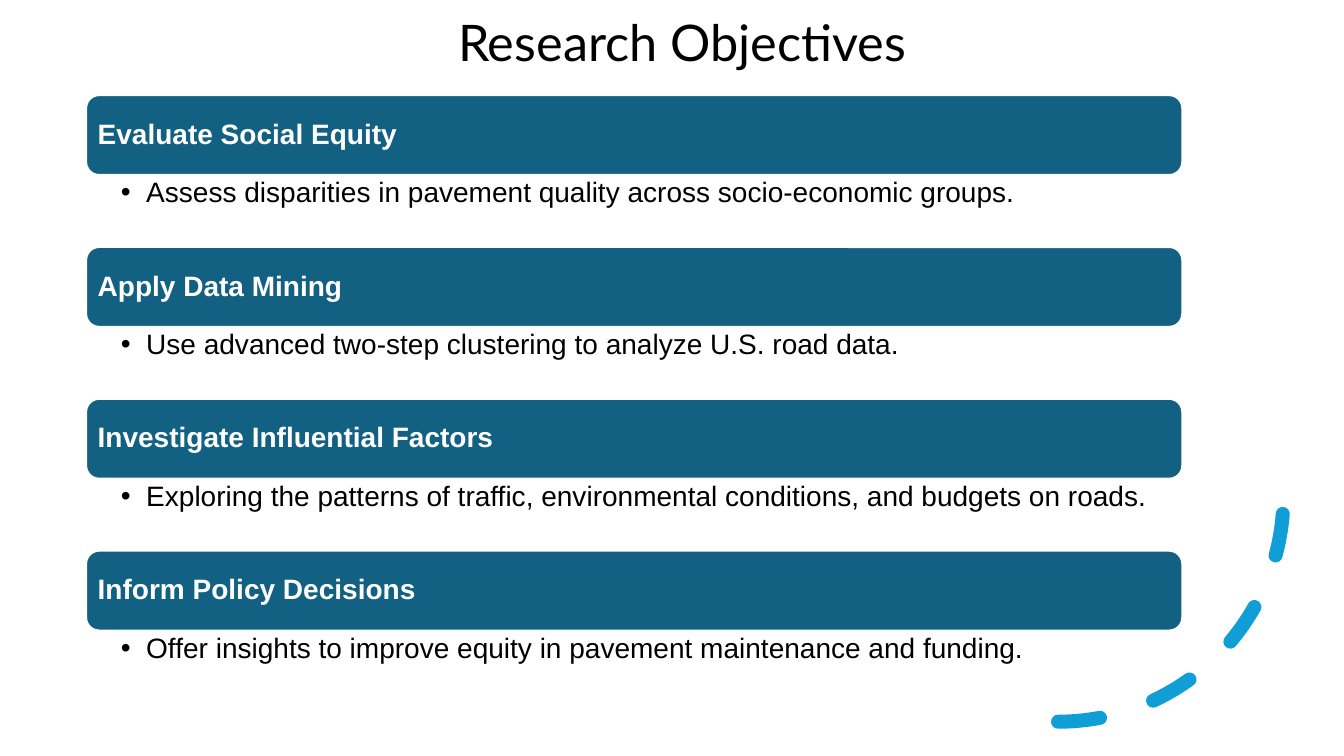
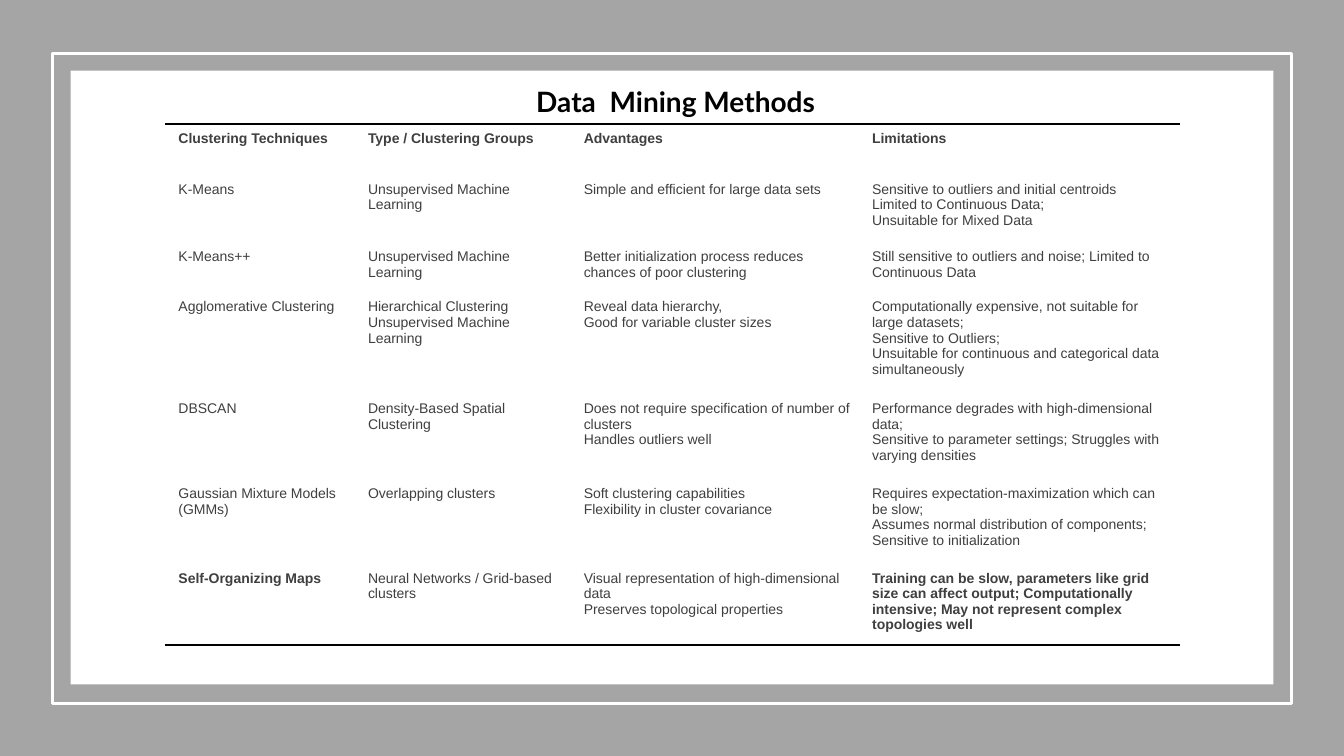
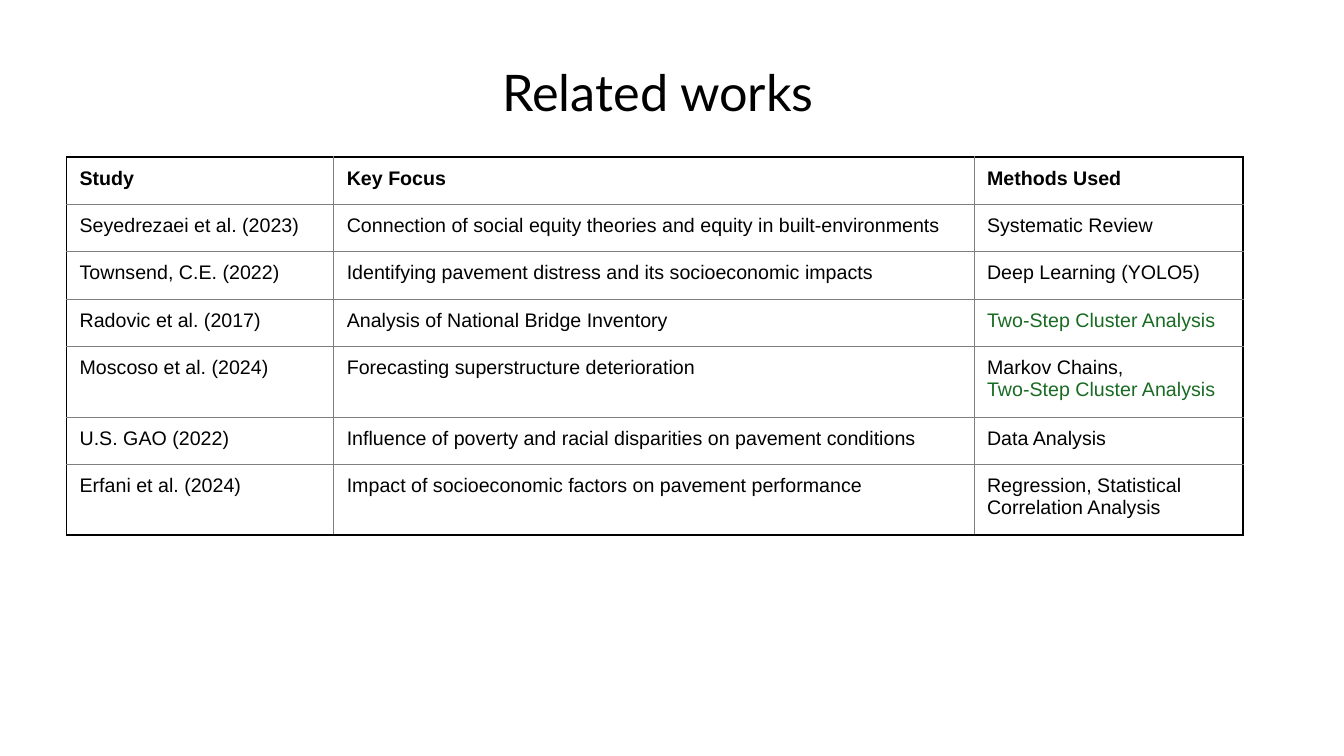
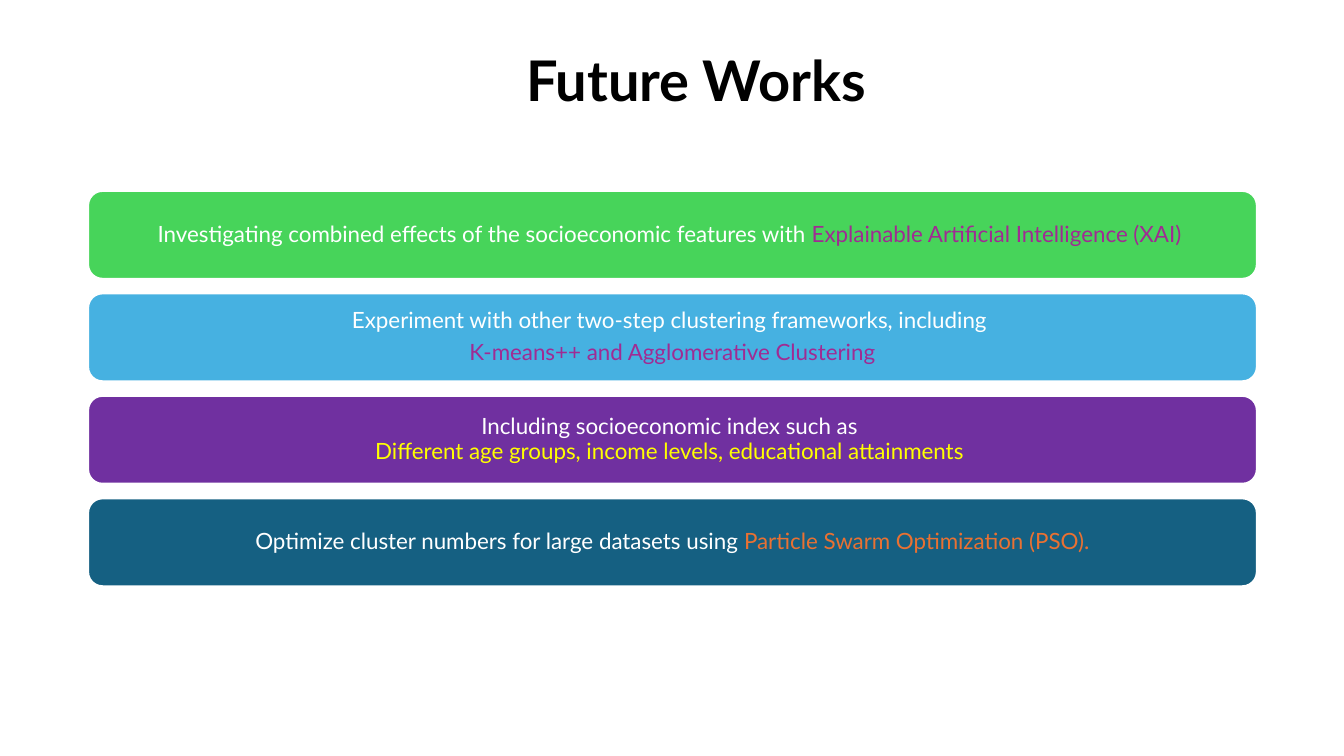
from lxml import etree
from pptx import Presentation
from pptx import util as u
from pptx.dml.color import RGBColor
from pptx.enum import dml, shapes, text
from pptx.oxml.ns import qn

C = {
    "black": "000000", "white": "FFFFFF", "grey": "A5A5A5",
    "cell": "3F3F3F", "rule": "7F7F7F", "teal": "126082",
    "deep": "156082", "sky": "0F9ED5", "blue": "46B1E1",
    "lime": "47D45A", "green": "196B24", "purple": "7030A0",
    "plum": "A02B93", "yellow": "FFFF00", "orange": "E97132",
}
TITLE, BODY = "Lato", "Arial"
LEFT, CENTER = text.PP_ALIGN.LEFT, text.PP_ALIGN.CENTER
TOP, MIDDLE, BOTTOM = (text.MSO_ANCHOR.TOP, text.MSO_ANCHOR.MIDDLE,
                       text.MSO_ANCHOR.BOTTOM)
ROUND = shapes.MSO_SHAPE.ROUNDED_RECTANGLE


def rgb(name):
    return RGBColor.from_string(C[name])


def inches(values):
    return [u.Inches(v) for v in values]


def spread(first, last, count):
    """Equally spaced positions from first to last."""
    return [first + i * (last - first) / (count - 1) for i in range(count)]


class Deck:
    def __init__(self):
        self.prs = Presentation()
        self.prs.slide_width, self.prs.slide_height = inches((13.33, 7.5))

    def new_slide(self):
        self.s = self.prs.slides.add_slide(self.prs.slide_layouts[6])

    # Text
    def frame(self, tf, insets, anchor=TOP):
        tf.word_wrap = True
        tf.vertical_anchor = anchor
        (tf.margin_left, tf.margin_top,
         tf.margin_right, tf.margin_bottom) = inches(insets)

    def style(self, r, size, font, colour, bold=False):
        r.font.size, r.font.name, r.font.bold = u.Pt(size), font, bold
        r.font.color.rgb = rgb(colour)

    def add_text(self, tf, paragraphs, size, font, colour, bold=False,
                 align=LEFT, spacing=0.9, after=0):
        """A paragraph is a list of (text, colour) runs; "\\n" breaks a line."""
        for i, runs in enumerate(paragraphs):
            p = tf.add_paragraph() if i else tf.paragraphs[0]
            p.alignment, p.line_spacing = align, spacing
            p.space_after = u.Pt(after)
            for words, tint in runs:
                r = p.add_run()
                r.text = words.rstrip("\n")
                self.style(r, size, font, tint or colour, bold)
                if words.endswith("\n"):
                    p.add_line_break()
                    etree.SubElement(p._p[-1], qn("a:rPr"), sz=str(size * 100))

    def title(self, at, words, size=36, bold=False, anchor=MIDDLE,
              spacing=0.9, after=0):
        tf = self.s.shapes.add_textbox(*inches(at)).text_frame
        self.frame(tf, (0.1, 0.05, 0.1, 0.05), anchor)
        self.add_text(tf, [[(words, None)]], size, TITLE, "black", bold,
                      CENTER, spacing, after)

    def bullet(self, at, words):
        tf = self.s.shapes.add_textbox(*inches(at)).text_frame
        self.frame(tf, (0.35, 0.03, 0.16, 0.03))
        self.add_text(tf, [[(words, None)]], 20, BODY, "black")
        pPr = tf.paragraphs[0]._p.get_or_add_pPr()
        pPr.set("marL", str(u.Inches(0.25)))
        pPr.set("indent", str(u.Inches(-0.25)))
        etree.SubElement(pPr, qn("a:buFont"), typeface=BODY)
        etree.SubElement(pPr, qn("a:buChar"), char="•")

    # Shapes
    def shape(self, kind, at, fill=None, line=None, width=2):
        sp = self.s.shapes.add_shape(kind, *inches(at))
        sp.shadow.inherit = False
        if fill:
            sp.fill.solid()
            sp.fill.fore_color.rgb = rgb(fill)
        else:
            sp.fill.background()
        if line:
            sp.line.color.rgb = rgb(line)
            sp.line.width = u.Pt(width)
        else:
            sp.line.fill.background()
        return sp

    def bar(self, at, fill, paragraphs, inset, **style):
        sp = self.shape(ROUND, at, fill, "white")
        self.frame(sp.text_frame, [inset] * 4, MIDDLE)
        self.add_text(sp.text_frame, paragraphs, colour="white", **style)

    def dashed_arc(self, at):
        sp = self.shape(shapes.MSO_SHAPE.ARC, at, line="sky", width=10)
        sp.rotation = 180
        sp._element.spPr.find(qn("a:xfrm")).set("flipH", "1")
        sp.line.dash_style = dml.MSO_LINE.DASH
        sp.line._ln.set("cap", "rnd")

    # Tables
    def border(self, cell, side, colour=None, width=0):
        ln = etree.SubElement(cell._tc.get_or_add_tcPr(), qn("a:ln" + side),
                              w=str(u.Pt(width)))
        if colour:
            solid = etree.SubElement(ln, qn("a:solidFill"))
            etree.SubElement(solid, qn("a:srgbClr"), val=C[colour])
        else:
            etree.SubElement(ln, qn("a:noFill"))

    def table(self, at, cols, heights, rows, insets, size, colour,
              edges, inner=(), bold=(), tints=None):
        """edges gives the outer border of each side, inner the other lines."""
        box = (*at, sum(cols), sum(heights))
        tb = self.s.shapes.add_table(len(rows), len(cols), *inches(box)).table
        tb.first_row = tb.horz_banding = False
        for col, w in zip(tb.columns, cols):
            col.width = u.Inches(w)
        for row, h in zip(tb.rows, heights):
            row.height = u.Inches(h)
        for i, row in enumerate(rows):
            for j, words in enumerate(row):
                cell = tb.cell(i, j)
                outer = {"L": j == 0, "R": j == len(cols) - 1,
                         "T": i == 0, "B": i == len(rows) - 1}
                for side, on_edge in outer.items():
                    look = edges.get(side, ()) if on_edge else inner
                    self.border(cell, side, *look)
                cell.fill.solid()
                cell.fill.fore_color.rgb = rgb("white")
                (cell.margin_left, cell.margin_top,
                 cell.margin_right, cell.margin_bottom) = inches(insets)
                cell.text_frame.text = words
                for p in cell.text_frame.paragraphs:
                    tint = (tints or {}).get(p.text, colour)
                    for r in p.runs:
                        self.style(r, size, BODY, tint, i == 0 or (i, j) in bold)


OBJECTIVES = [
    ("Evaluate Social Equity",
     "Assess disparities in pavement quality across socio-economic groups."),
    ("Apply Data Mining",
     "Use advanced two-step clustering to analyze U.S. road data."),
    ("Investigate Influential Factors",
     "Exploring the patterns of traffic, environmental conditions, and budgets on roads."),
    ("Inform Policy Decisions",
     "Offer insights to improve equity in pavement maintenance and funding."),
]

METHODS = [
    ("Clustering Techniques", "Type / Clustering Groups", "Advantages", "Limitations"),
    ("K-Means", "Unsupervised Machine Learning",
     "Simple and efficient for large data sets",
     "Sensitive to outliers and initial centroids\nLimited to Continuous Data;\n"
     "Unsuitable for Mixed Data"),
    ("K-Means++", "Unsupervised Machine Learning",
     "Better initialization process reduces chances of poor clustering",
     "Still sensitive to outliers and noise; Limited to Continuous Data"),
    ("Agglomerative Clustering",
     "Hierarchical Clustering\nUnsupervised Machine Learning",
     "Reveal data hierarchy,\nGood for variable cluster sizes",
     "Computationally expensive, not suitable for large datasets;\n"
     "Sensitive to Outliers;\n"
     "Unsuitable for continuous and categorical data simultaneously"),
    ("DBSCAN", "Density-Based Spatial Clustering",
     "Does not require specification of number of clusters\nHandles outliers well",
     "Performance degrades with high-dimensional data;\n"
     "Sensitive to parameter settings; Struggles with varying densities"),
    ("Gaussian Mixture Models (GMMs)", "Overlapping clusters",
     "Soft clustering capabilities\nFlexibility in cluster covariance",
     "Requires expectation-maximization which can be slow;\n"
     "Assumes normal distribution of components;\nSensitive to initialization"),
    ("Self-Organizing Maps", "Neural Networks / Grid-based clusters",
     "Visual representation of high-dimensional data\nPreserves topological properties",
     "Training can be slow, parameters like grid size can affect output; "
     "Computationally intensive; May not represent complex topologies well"),
]

TWO_STEP = "Two-Step Cluster Analysis"
STUDIES = [
    ("Study", "Key Focus", "Methods Used"),
    ("Seyedrezaei et al. (2023)",
     "Connection of social equity theories and equity in built-environments",
     "Systematic Review"),
    ("Townsend, C.E. (2022)",
     "Identifying pavement distress and its socioeconomic impacts",
     "Deep Learning (YOLO5)"),
    ("Radovic et al. (2017)", "Analysis of National Bridge Inventory", TWO_STEP),
    ("Moscoso et al. (2024)", "Forecasting superstructure deterioration",
     "Markov Chains,\n" + TWO_STEP),
    ("U.S. GAO (2022)",
     "Influence of poverty and racial disparities on pavement conditions",
     "Data Analysis"),
    ("Erfani et al. (2024)",
     "Impact of socioeconomic factors on pavement performance",
     "Regression, Statistical Correlation Analysis"),
]

FUTURE = [
    ("lime", [[("Investigating combined effects of the socioeconomic features with ", None),
               ("Explainable Artificial Intelligence (XAI) ", "plum")]]),
    ("blue", [[("Experiment with other two-step clustering frameworks, including ", None)],
              [("K-means++ and Agglomerative Clustering", "plum")]]),
    ("purple", [[("Including socioeconomic index such as \n", None),
                 ("Different age groups, income levels, educational attainments ",
                  "yellow")]]),
    ("deep", [[("Optimize cluster numbers for large datasets using ", None),
               ("Particle Swarm Optimization (PSO).", "orange")]]),
]


def main():
    d = Deck()

    # Research objectives
    d.new_slide()
    d.title((4.16, 0.09, 5.34, 0.71), "Research Objectives ")
    d.dashed_arc((8.26, 2.69, 4.47, 4.47))
    for y, (heading, detail) in zip(spread(0.94, 5.46, 4), OBJECTIVES):
        d.bar((0.85, y, 10.88, 0.8), "teal", [[(heading, None)]], 0.08,
              size=20, font=BODY, bold=True)
        d.bullet((0.85, y + 0.8, 10.88, 0.71), detail)

    # Data mining methods
    d.new_slide()
    rect = shapes.MSO_SHAPE.RECTANGLE
    d.shape(rect, (0, 0, 13.33, 7.5), "grey")
    d.shape(rect, (0.52, 0.53, 12.29, 6.45), line="white")
    d.shape(rect, (0.7, 0.7, 11.93, 6.09), "white")
    d.table((1.64, 1.23), (1.88, 2.14, 2.86, 3.18),
            (0.5, 0.67, 0.5, 1.01, 0.84, 0.84, 0.67), METHODS,
            (0.13, 0.07, 0.07, 0.07), 10, "cell",
            edges={"T": ("black", 2), "B": ("black", 2)},
            bold={(6, 0), (6, 3)})
    d.title((4.66, 0.79, 4.15, 0.44), "Data  Mining Methods ", 20, True, TOP, 1.0)

    # Related works
    d.new_slide()
    d.title((4.74, 0.33, 3.7, 1.22), "Related works ", after=6)
    d.table((0.66, 1.56), (2.65, 6.35, 2.67),
            (0.47, 0.47, 0.47, 0.47, 0.7, 0.47, 0.7), STUDIES,
            (0.13, 0.1, 0.09, 0.1), 14, "black",
            edges={side: ("black", 1.5) for side in "LRTB"},
            inner=("rule", 0.75), tints={TWO_STEP: "green"})

    # Future works
    d.new_slide()
    d.title((4.73, 0.43, 4.48, 0.73), "Future Works ", 40, True, BOTTOM, 0.8, 6)
    for y, (fill, paragraphs) in zip(spread(1.89, 4.94, 4), FUTURE):
        d.bar((0.87, y, 11.6, 0.88), fill, paragraphs, 0.07,
              size=16, font=TITLE, align=CENTER, after=5.6)

    d.prs.save("out.pptx")


if __name__ == "__main__":
    main()
